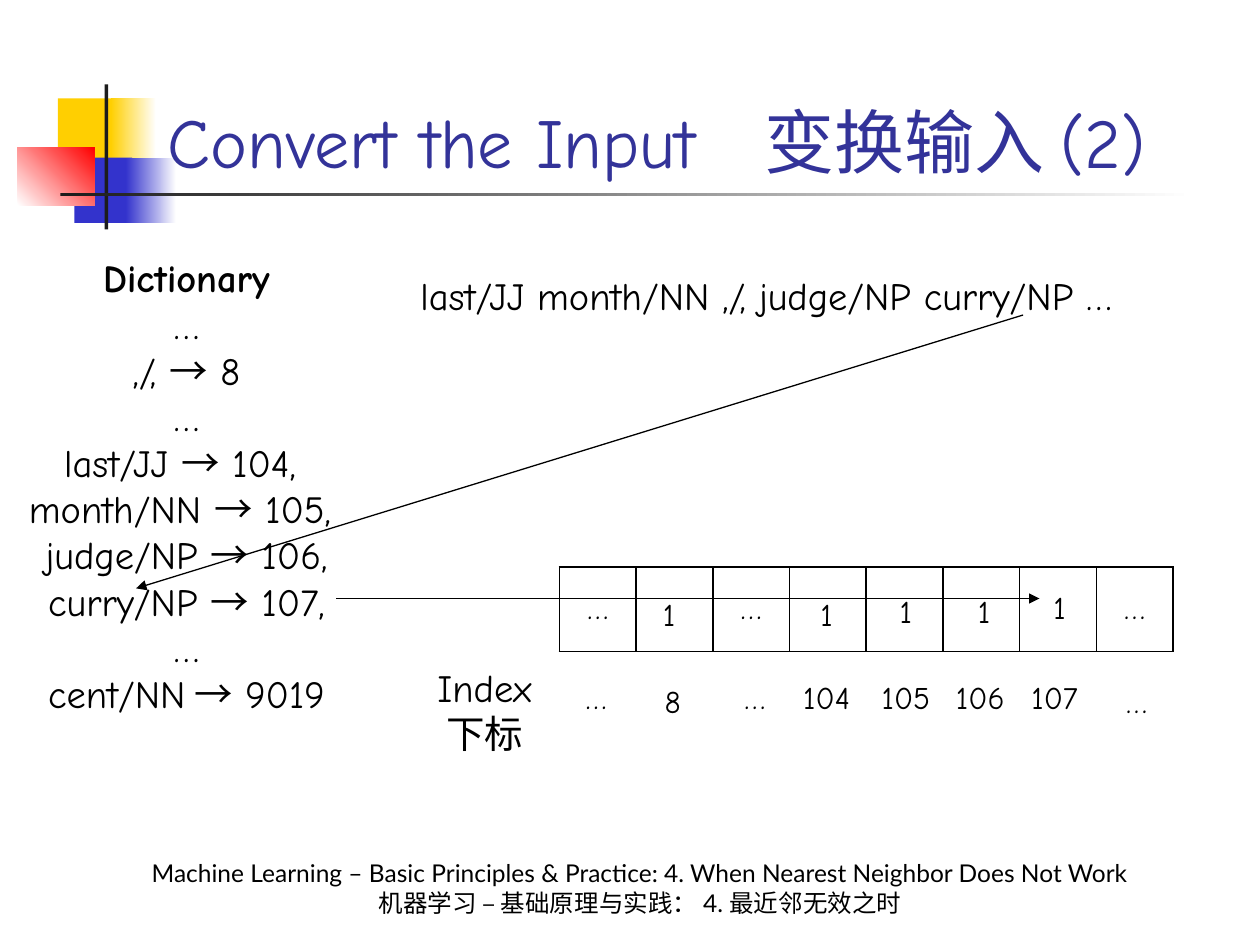
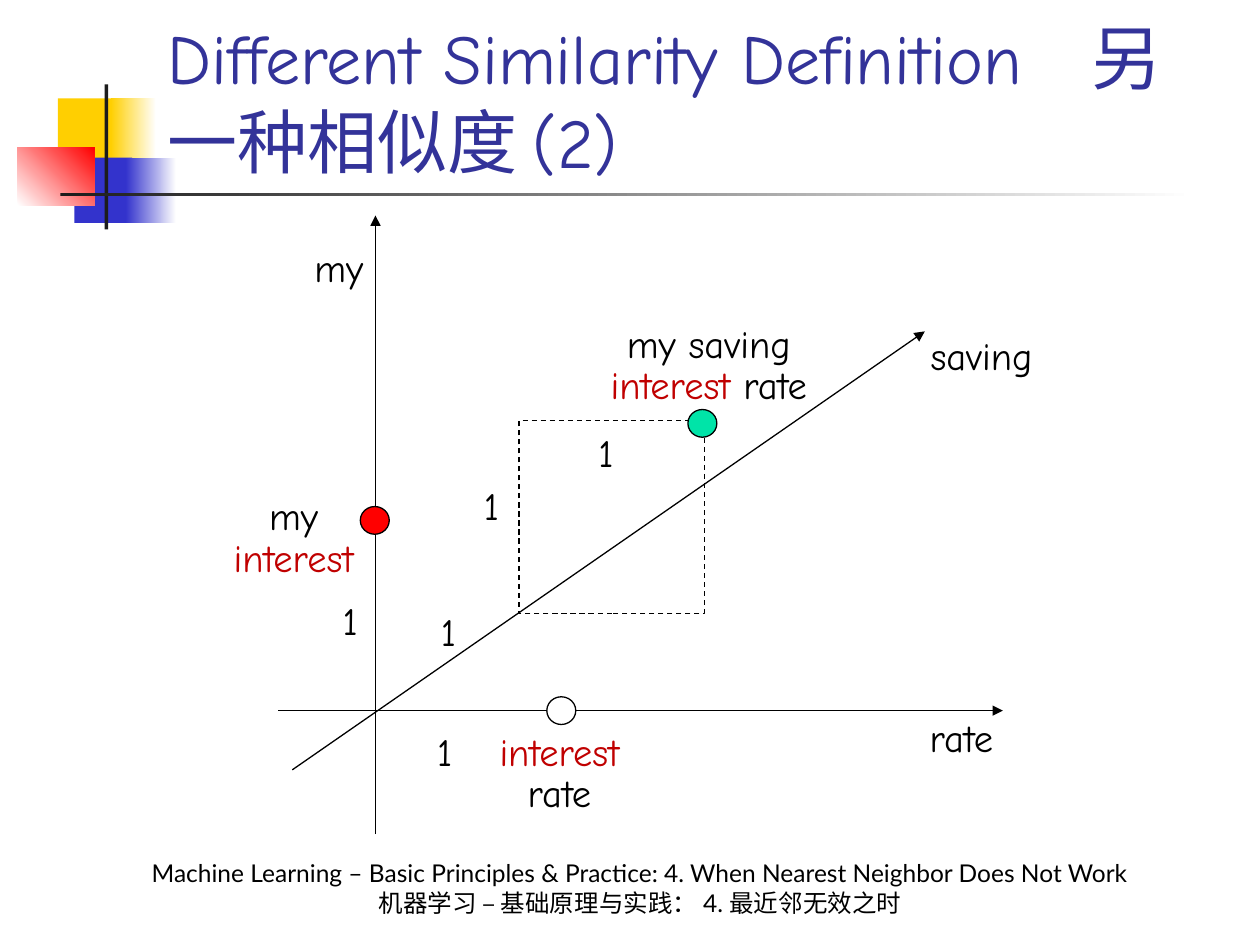
from lxml import etree
from pptx import Presentation
from pptx.dml.color import RGBColor
from pptx.enum import dml, shapes, text
from pptx.oxml import ns
from pptx.util import Inches, Pt

COMIC, LATO, CJK = "Comic Neue", "Lato", "Noto Sans CJK SC"
BLACK, WHITE, NAVY, RED = "000000", "FFFFFF", "333399", "C00000"
GOLD, BLUE, DARK = "FFCF01", "3333CC", "1C1C1C"
LEFT, MID = text.PP_ALIGN.LEFT, text.PP_ALIGN.CENTER
hue = RGBColor.from_string


def write(frame, lines, size=22, face=COMIC, color=BLACK, align=MID, space=1.0):
    """Fill a text frame with paragraphs, each a list of runs."""
    for n, runs in enumerate(lines):
        para = frame.add_paragraph() if n else frame.paragraphs[0]
        para.alignment, para.line_spacing = align, space
        for words in runs:
            run = para.add_run()
            run.text = words
            font = run.font
            font.size = Pt(size)
            font.bold = words == "Dictionary"
            font.name = CJK if words.strip() == "→" else face
            font.color.rgb = hue(RED if words.strip() == "interest" else color)
            if max(words) >= "→":
                east = etree.SubElement(run.font._element, ns.qn("a:ea"))
                east.set("typeface", CJK)


def label(page, at, lines, **style):
    box = page.shapes.add_textbox(*map(Inches, at))
    box.text_frame.word_wrap = True
    box.text_frame.auto_size = text.MSO_AUTO_SIZE.SHAPE_TO_FIT_TEXT
    write(box.text_frame, lines, **style)
    return box


deck = Presentation()
deck.slide_width, deck.slide_height = Inches(10), Inches(7.5)

# Shared layout: title place, then colour blocks and footer
base = deck.slide_layouts[5]
for holder in list(base.placeholders):
    if holder.placeholder_format.type != shapes.PP_PLACEHOLDER.TITLE:
        base.shapes.element.remove(holder.element)
head = base.placeholders[0]
head.left, head.top, head.width, head.height = map(Inches, (1.23, 0.5, 8.52, 1))
head.text_frame.vertical_anchor = text.MSO_ANCHOR.BOTTOM

titles = ["Convert the Input　变换输入 (2)",
          "Different Similarity Definition　另一种相似度 (2)"]
pages = []
for words in titles:
    page = deck.slides.add_slide(base)
    frame = page.shapes.title.text_frame
    frame.auto_size = text.MSO_AUTO_SIZE.NONE
    frame.vertical_anchor = text.MSO_ANCHOR.BOTTOM
    write(frame, [[words]], size=40, color=NAVY, align=LEFT)
    pages.append(page)
first, second = pages

blocks = [
    ((0.46, 0.78, 0.48, 0.52), [GOLD], 0),
    ((0.88, 0.78, 0.36, 0.52), [GOLD, WHITE], 0),
    ((0.59, 1.25, 0.46, 0.52), [BLUE], 0),
    ((1, 1.25, 0.4, 0.52), [BLUE, WHITE], 0),
    ((0.14, 1.17, 0.61, 0.46), [WHITE, "FF0000"], 45),
    ((0.83, 0.67, 0.03, 1.15), [DARK], 0),
    ((0.48, 1.53, 9, 0.03), [DARK, WHITE], 0),
]
for at, tones, angle in blocks:
    block = first.shapes.add_shape(shapes.MSO_SHAPE.RECTANGLE, *map(Inches, at))
    block.shadow.inherit = False
    block.line.fill.background()
    if len(tones) == 1:
        block.fill.solid()
        block.fill.fore_color.rgb = hue(tones[0])
    else:
        block.fill.gradient()
        block.fill.gradient_angle = angle
        for stop, tone in zip(block.fill.gradient_stops, tones):
            stop.color.rgb = hue(tone)
    base.shapes.element.append(block.element)

foot = label(first, (0.83, 6.83, 8.5, 0.5), [
    ["Machine Learning – Basic Principles & Practice: 4. When Nearest Neighbor Does Not Work"],
    ["机器学习 – 基础原理与实践： 4. 最近邻无效之时"]], size=14, face=LATO)
foot.text_frame.auto_size = text.MSO_AUTO_SIZE.NONE
foot.text_frame.vertical_anchor = text.MSO_ANCHOR.BOTTOM
base.shapes.element.append(foot.element)

# Arrows of both slides
arrows = [
    (first, 8.12, 2.5, 1.08, 4.67),
    (first, 2.67, 4.75, 8.25, 4.75),
    (second, 2.21, 5.64, 7.96, 5.64),
    (second, 2.98, 6.62, 2.98, 1.71),
    (second, 2.32, 6.11, 7.34, 2.63),
]
for page, *ends in arrows:
    line = page.shapes.add_connector(shapes.MSO_CONNECTOR.STRAIGHT, *map(Inches, ends))
    line.line.color.rgb = hue(BLACK)
    line.line.width = Pt(0.75)
    etree.SubElement(line.line._get_or_add_ln(), ns.qn("a:tailEnd"), type="triangle")
    etree.SubElement(line.element.spPr, ns.qn("a:effectLst"))

# Slide 1: dictionary, sentence and index vector
label(first, (0, 1.97, 2.96, 3.8), [
    ["Dictionary"],
    ["…"],
    [",/, ", "→", " 8"],
    ["…"],
    ["last/JJ ", "→", " 104, "],
    ["month/NN ", "→", " 105, "],
    ["judge/NP ", "→", " 106,"],
    ["curry/NP ", "→", " 107,"],
    ["…"],
    ["cent/NN", " →", " 9019"],
])
label(first, (2.67, 2.11, 6.92, 0.47), [["last/JJ month/NN ,/, judge/NP curry/NP … "]])
label(first, (3.25, 5.22, 1.19, 0.84), [["Index"], ["下标"]])

grid = first.shapes.add_table(1, 8, *map(Inches, (4.44, 4.5, 4.87, 0.67))).table
grid.first_row = grid.horz_banding = False
for n, cell in enumerate(grid.iter_cells()):
    cell.vertical_anchor = text.MSO_ANCHOR.MIDDLE
    if n in (0, 2, 7):
        write(cell.text_frame, [["…"]], size=18)
    for side in ("lnL", "lnR", "lnT", "lnB"):
        edge = etree.SubElement(cell._tc.get_or_add_tcPr(), ns.qn("a:" + side), w=str(Pt(1)))
        fill = etree.SubElement(edge, ns.qn("a:solidFill"))
        etree.SubElement(fill, ns.qn("a:srgbClr"), val=BLACK)
    cell.fill.background()

marks = [
    ("…", 4.42, 5.33), ("8", 5.03, 5.36), ("…", 5.68, 5.33), ("104", 6.25, 5.33),
    ("105", 6.88, 5.33), ("106", 7.47, 5.33), ("107", 8.06, 5.33), ("…", 8.71, 5.36),
    ("1", 5, 4.67), ("1", 6.25, 4.67), ("1", 6.88, 4.65), ("1", 7.5, 4.65), ("1", 8.1, 4.62),
]
for words, x, y in marks:
    label(first, (x, y, 0.62, 0.42), [[words]], size=18)

# Slide 2: axes, unit square and points
square = ("RECTANGLE", (4.12, 3.34, 1.47, 1.53), None)
dots = [("OVAL", (x, y, 0.23, 0.22), tone) for x, y, tone in
        [(5.46, 3.25, "00E4A8"), (2.86, 4.02, "FF0000"), (4.34, 5.53, WHITE)]]
for kind, at, tone in [square, *dots]:
    form = second.shapes.add_shape(shapes.MSO_SHAPE[kind], *map(Inches, at))
    form.shadow.inherit = False
    form.line.color.rgb = hue(BLACK)
    form.line.width = Pt(0.75)
    if tone:
        form.fill.solid()
        form.fill.fore_color.rgb = hue(tone)
    else:
        form.fill.background()
        form.line.dash_style = dml.MSO_LINE.DASH

names = [
    ((2.23, 1.93, 0.92, 0.43), ["my"]),
    ((6.83, 2.63, 1.92, 0.43), ["saving"]),
    ((6.67, 5.66, 1.92, 0.43), ["rate"]),
    ((4.57, 2.53, 2.11, 0.77), ["my saving ", "interest", " rate"]),
    ((1.62, 3.9, 1.42, 0.77), ["my ", "interest"]),
    ((3.73, 5.77, 1.42, 0.77), ["interest ", "rate"]),
]
units = [(3.44, 3.82), (4.35, 3.4), (3.1, 4.82), (2.32, 4.73), (3.07, 5.77)]
names += [((x, y, 0.92, 0.43), ["1"]) for x, y in units]
for at, runs in names:
    label(second, at, [runs], space=0.9)

deck.save("out.pptx")
